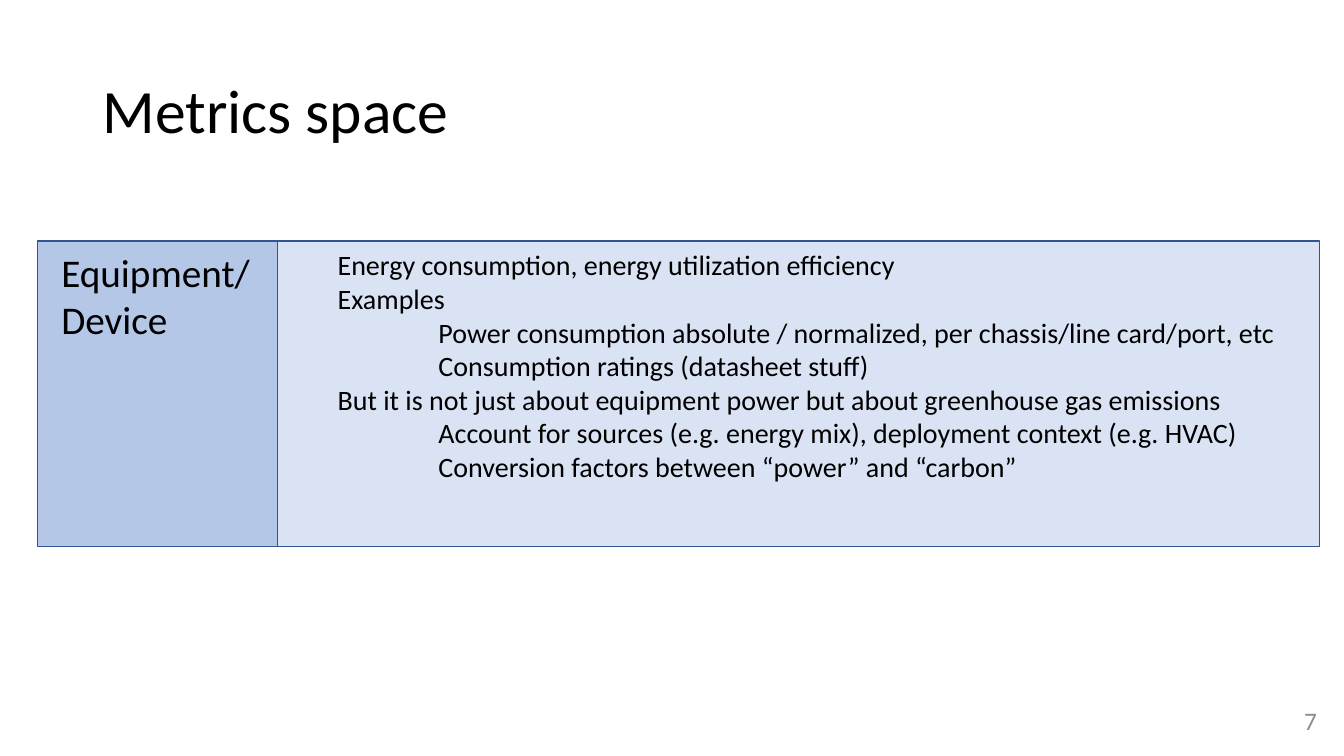
"""Build the "Metrics space" slide."""
from pptx import Presentation
from pptx.dml.color import RGBColor
from pptx.enum.shapes import MSO_SHAPE as Shape
from pptx.enum.text import MSO_ANCHOR as Anchor, PP_ALIGN as Align
from pptx.util import Inches, Pt

COLORS = {
    "text": "000000",
    "number": "8C8C8C",
    "label": "B4C7E7",
    "details": "DAE3F3",
    "border": "325491",
}
FONT = "Calibri"
LABEL_WIDTH = 2.38
DETAILS = [
    (0, "Energy consumption, energy utilization efficiency"),
    (0, "Examples"),
    (1, "Power consumption absolute / normalized, per chassis/line card/port, etc"),
    (1, "Consumption ratings (datasheet stuff)"),
    (0, "But it is not just about equipment power but about greenhouse gas emissions"),
    (1, "Account for sources (e.g. energy mix), deployment context (e.g. HVAC)"),
    (1, "Conversion factors between “power” and “carbon”"),
]


def rgb(name):
    """Return the named colour."""
    return RGBColor.from_string(COLORS[name])


def add_text(slide, box, lines, size, color="text", anchor=Anchor.TOP,
             align=Align.LEFT, spacing=1.0, wrap=True):
    """Write (level, text) lines in a box, indenting one inch per level."""
    frame = slide.shapes.add_textbox(*map(Inches, box)).text_frame
    frame.word_wrap = wrap
    frame.vertical_anchor = anchor
    for index, (level, line) in enumerate(lines):
        paragraph = frame.add_paragraph() if index else frame.paragraphs[0]
        paragraph.text = line
        paragraph.alignment = align
        paragraph.line_spacing = spacing
        paragraph.font.name = FONT
        paragraph.font.size = Pt(size)
        paragraph.font.color.rgb = rgb(color)
        if level:
            properties = paragraph._p.get_or_add_pPr()
            properties.set("marL", str(Inches(level)))
            properties.set("indent", "0")


def add_panel(slide, box, color):
    """Draw one bordered panel of the metrics row."""
    panel = slide.shapes.add_shape(Shape.RECTANGLE, *map(Inches, box))
    panel.shadow.inherit = False
    panel.fill.solid()
    panel.fill.fore_color.rgb = rgb(color)
    panel.line.color.rgb = rgb("border")
    panel.line.width = Pt(1)


def add_metrics_row(slide, box, label, details):
    """Place the label panel and the details panel side by side in the box."""
    left, top, width, height = box
    details_left = left + LABEL_WIDTH
    details_width = width - LABEL_WIDTH
    add_panel(slide, (details_left, top, details_width, height), "details")
    add_panel(slide, (left, top, LABEL_WIDTH, height), "label")
    add_text(slide, (left + 0.14, top + 0.02, 2.09, 1.04), [(0, label)], 28,
             wrap=False)
    add_text(slide, (details_left + 0.5, top + 0.02, 9.58, 2.79), details, 20,
             wrap=False)


def add_title(slide, box, title):
    """Write the slide title, centred vertically in the box."""
    add_text(slide, box, [(0, title)], 44, anchor=Anchor.MIDDLE, spacing=0.9)


def add_page_number(slide, box, number):
    """Write the page number at the right of the box."""
    add_text(slide, box, [(0, number)], 18, "number", Anchor.MIDDLE, Align.RIGHT)


def main():
    """Build and save the slide."""
    deck = Presentation()
    deck.slide_width, deck.slide_height = Inches(13.33), Inches(7.5)
    slide = deck.slides.add_slide(deck.slide_layouts[6])
    add_title(slide, (0.92, 0.4, 11.5, 1.45), "Metrics space")
    add_metrics_row(slide, (0.37, 2.39, 12.72, 3.03), "Equipment/\vDevice", DETAILS)
    add_page_number(slide, (9.42, 6.95, 3.74, 0.4), "7")
    deck.save("out.pptx")


if __name__ == "__main__":
    main()
